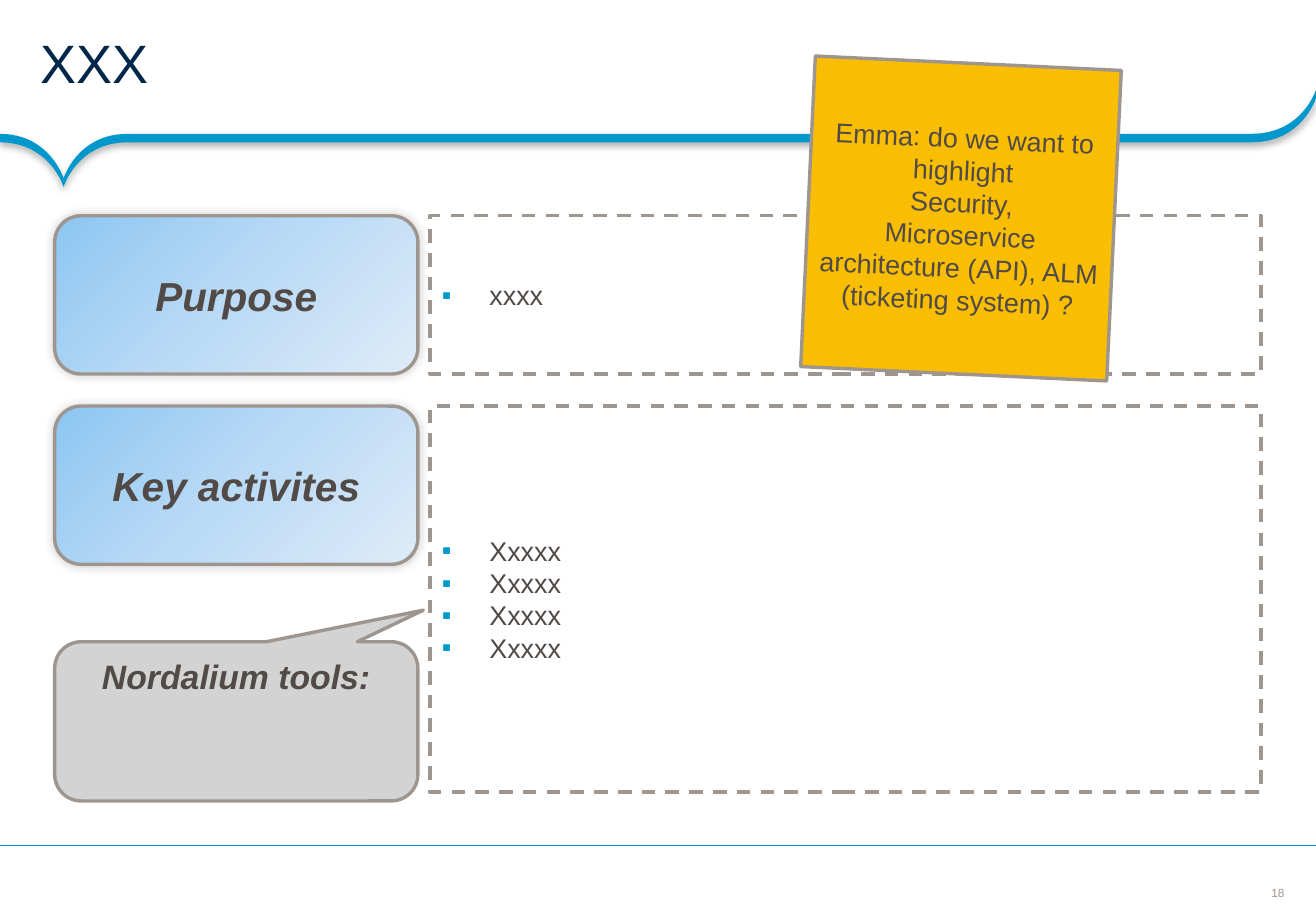
"""Build a slide with purpose, key activities and tools beside a sticky note."""
from copy import deepcopy

from lxml import etree
from pptx import Presentation
from pptx.dml.color import RGBColor
from pptx.enum.dml import MSO_LINE
from pptx.enum.shapes import MSO_CONNECTOR, MSO_SHAPE
from pptx.enum.text import MSO_ANCHOR, MSO_AUTO_SIZE, PP_ALIGN
from pptx.oxml.ns import qn
from pptx.util import Pt

LEFT, CENTER = PP_ALIGN.LEFT, PP_ALIGN.CENTER
TOP, MIDDLE = MSO_ANCHOR.TOP, MSO_ANCHOR.MIDDLE
RECTANGLE = MSO_SHAPE.RECTANGLE
ROUNDED = MSO_SHAPE.ROUNDED_RECTANGLE
CALLOUT = MSO_SHAPE.ROUNDED_RECTANGULAR_CALLOUT
DASH = MSO_LINE.DASH
STRAIGHT = MSO_CONNECTOR.STRAIGHT

FONT = "Arial"
COLORS = {
    "text": "514A46",
    "title": "00264A",
    "accent": "0098CC",
    "outline": "9F958F",
    "panel": "FFFFFF",
    "tools": "D3D3D3",
    "note": "F9BE01",
    "shadow": "000000",
    "gradient_start": "8CC6F2",
    "gradient_middle": "BADAF5",
    "gradient_end": "DEECF9",
}
GRADIENT = [(0, "gradient_start"), (0.5, "gradient_middle"), (1, "gradient_end")]

WIDTH, HEIGHT = 780, 540
LABEL_LEFT, LABEL_WIDTH = 32.4, 215.3
PANEL_LEFT, PANEL_WIDTH = 254.9, 492.5
ROW_HEIGHT = 93.8
PURPOSE_TOP, ACTIVITIES_TOP, TOOLS_TOP = 127.9, 240.7, 380.4
RIBBON_TOP, RIBBON_THICKNESS = 79.4, 5
CURVE_STEPS = 16


def rgb(name):
    """Return the named colour."""
    return RGBColor.from_string(COLORS[name])


def add_bullet(paragraph):
    """Give a paragraph a hanging square bullet."""
    properties = paragraph._p.get_or_add_pPr()
    properties.set("marL", str(Pt(28.1)))
    properties.set("indent", str(Pt(-28.1)))
    color = etree.SubElement(properties, qn("a:buClr"))
    etree.SubElement(color, qn("a:srgbClr"), val=COLORS["accent"])
    etree.SubElement(properties, qn("a:buFont"), typeface=FONT)
    etree.SubElement(properties, qn("a:buChar"), char="▪")


def write_text(shape, lines, size=16, color="text", strong=False, align=CENTER,
               anchor=MIDDLE, margins=(7.2, 3.6, 7.2, 3.6), wrap=True,
               bullets=False, spacing=None):
    """Write one paragraph per line with a shared format."""
    frame = shape.text_frame
    frame.auto_size = MSO_AUTO_SIZE.NONE
    frame.word_wrap = wrap
    frame.vertical_anchor = anchor
    (frame.margin_left, frame.margin_top,
     frame.margin_right, frame.margin_bottom) = map(Pt, margins)
    frame.text = "\n".join(lines)
    for paragraph in frame.paragraphs:
        paragraph.alignment = align
        paragraph.line_spacing = spacing
        if bullets:
            add_bullet(paragraph)
        font = paragraph.runs[0].font
        font.name, font.size = FONT, Pt(size)
        font.bold = font.italic = strong
        font.color.rgb = rgb(color)


def add_shadow(shape, alpha, blur, distance, angle):
    """Add a soft outer shadow to a shape."""
    effects = shape._element.spPr.find(qn("a:effectLst"))
    shadow = etree.SubElement(
        effects, qn("a:outerShdw"), blurRad=str(Pt(blur)), dist=str(Pt(distance)),
        dir=str(angle * 60000), algn="ctr", rotWithShape="0")
    color = etree.SubElement(shadow, qn("a:srgbClr"), val=COLORS["shadow"])
    etree.SubElement(color, qn("a:alpha"), val=str(alpha * 1000))


def fill_gradient(shape):
    """Fill a shape with the diagonal three-stop gradient."""
    shape.fill.gradient()
    shape.fill.gradient_angle = 315
    stop_list = shape._element.spPr.find(".//" + qn("a:gsLst"))
    stop_list.append(deepcopy(stop_list[0]))
    for stop, (position, color) in zip(shape.fill.gradient_stops, GRADIENT):
        stop.position = position
        stop.color.rgb = rgb(color)


def add_box(slide, kind, left, top, width, height, fill=None):
    """Add an outlined preset shape, with a solid fill if one is named."""
    shape = slide.shapes.add_shape(kind, Pt(left), Pt(top), Pt(width), Pt(height))
    shape.shadow.inherit = False
    shape.line.color.rgb = rgb("outline")
    shape.line.width = Pt(2)
    if fill:
        shape.fill.solid()
        shape.fill.fore_color.rgb = rgb(fill)
    return shape


def add_label(slide, top, text):
    """Add a rounded gradient label."""
    label = add_box(slide, ROUNDED, LABEL_LEFT, top, LABEL_WIDTH, ROW_HEIGHT)
    fill_gradient(label)
    add_shadow(label, alpha=20, blur=6, distance=0, angle=225)
    write_text(label, [text], size=24, strong=True)


def add_panel(slide, top, height, lines):
    """Add a dashed panel with bulleted lines."""
    panel = add_box(slide, RECTANGLE, PANEL_LEFT, top, PANEL_WIDTH, height, "panel")
    panel.line.dash_style = DASH
    write_text(panel, lines, align=LEFT, bullets=True)


def curve(start, control, end):
    """Return points along a cubic curve whose second control is its end."""
    points = []
    for step in range(CURVE_STEPS + 1):
        t = step / CURVE_STEPS
        weights = ((1 - t) ** 3, 3 * t * (1 - t) ** 2, 3 * t ** 2 * (1 - t) + t ** 3)
        points.append(tuple(
            sum(weight * value for weight, value in zip(weights, axis))
            for axis in zip(start, control, end)))
    return points


def add_ribbon(slide):
    """Add the curved header ribbon with its pointed notch."""
    notch = (37.7, 105.8)
    upper = curve((0, RIBBON_TOP), (29.5, RIBBON_TOP), notch)
    upper += reversed(curve((75.4, RIBBON_TOP), (45.9, RIBBON_TOP), notch))
    upper += curve((742, RIBBON_TOP), (771.8, RIBBON_TOP), (WIDTH, 53.3))
    lower = [(x, y + RIBBON_THICKNESS) for x, y in reversed(upper)]
    outline = [(Pt(x), Pt(y)) for x, y in upper + lower]
    builder = slide.shapes.build_freeform(*outline[0])
    builder.add_line_segments(outline[1:], close=True)
    ribbon = builder.convert_to_shape()
    ribbon.shadow.inherit = False
    ribbon.fill.solid()
    ribbon.fill.fore_color.rgb = rgb("accent")
    ribbon.line.fill.background()
    add_shadow(ribbon, alpha=31, blur=4, distance=2, angle=90)


def add_footer(slide):
    """Add the footer rule and the slide number."""
    rule = slide.shapes.add_connector(STRAIGHT, Pt(WIDTH), Pt(501), Pt(0), Pt(501))
    rule.line.color.rgb = rgb("accent")
    rule.line.width = Pt(0.75)
    etree.SubElement(rule._element.spPr, qn("a:effectLst"))
    number = slide.shapes.add_textbox(Pt(753.1), Pt(524.9), Pt(8.6), Pt(8.6))
    write_text(number, ["18"], size=7, color="outline", margins=(0, 0, 0, 0), wrap=False)


def add_title(slide, text):
    """Place and format the title."""
    title = slide.shapes.title
    title.left, title.top, title.width, title.height = map(Pt, (0, 0, WIDTH, 79.2))
    write_text(title, [text], size=32, color="title", align=LEFT,
               margins=(23.8, 2.9, 13, 2.9), spacing=0.85)


def main():
    """Build and save the slide."""
    presentation = Presentation()
    presentation.slide_width, presentation.slide_height = Pt(WIDTH), Pt(HEIGHT)
    slide = presentation.slides.add_slide(presentation.slide_layouts[5])
    add_ribbon(slide)
    add_footer(slide)
    add_title(slide, "XXX")
    add_label(slide, PURPOSE_TOP, "Purpose")
    add_label(slide, ACTIVITIES_TOP, "Key activites")
    add_panel(slide, PURPOSE_TOP, ROW_HEIGHT, ["xxxx"])
    add_panel(slide, ACTIVITIES_TOP, 228.8, ["Xxxxx"] * 4)
    tools = add_box(slide, CALLOUT, LABEL_LEFT, TOOLS_TOP, LABEL_WIDTH, 94.4, "tools")
    tools.adjustments[0], tools.adjustments[1] = 0.515, -0.698
    write_text(tools, ["Nordalium tools:"], size=20, strong=True, anchor=TOP)
    note = add_box(slide, RECTANGLE, 478.8, 37.4, 181.6, 184.3, "note")
    note.rotation = 2.7
    write_text(note, ["Emma: do we want to highlight", "Security,",
                      "Microservice architecture (API), ALM (ticketing system) ?"])
    presentation.save("out.pptx")


if __name__ == "__main__":
    main()
